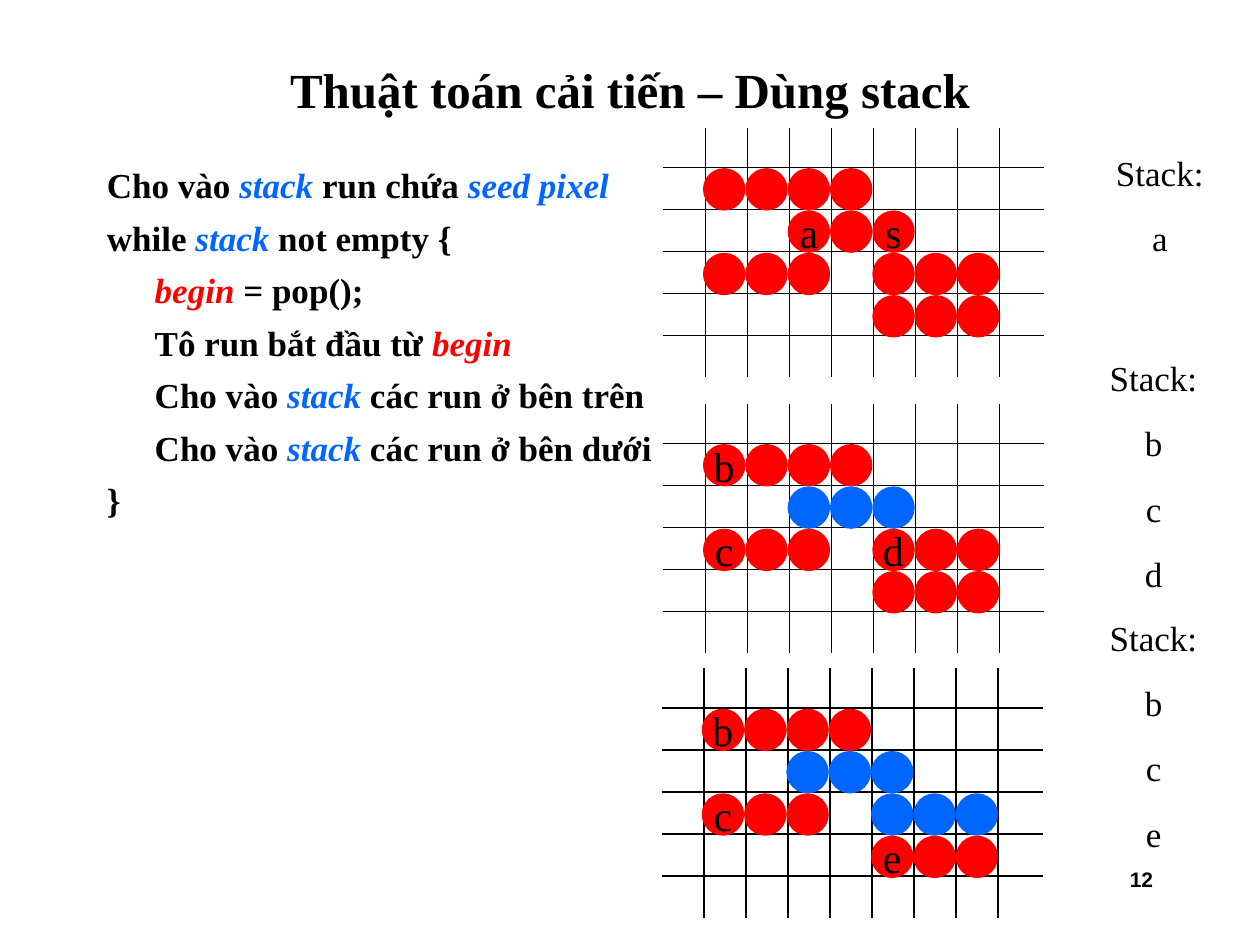
from lxml import etree
from pptx import Presentation
from pptx.dml.color import RGBColor
from pptx.enum.shapes import MSO_CONNECTOR, MSO_SHAPE
from pptx.enum.text import MSO_ANCHOR, PP_ALIGN
from pptx.oxml.ns import qn
from pptx.util import Inches, Pt

OVAL = MSO_SHAPE.OVAL
LINE = MSO_CONNECTOR.STRAIGHT
MIDDLE, TOP = MSO_ANCHOR.MIDDLE, MSO_ANCHOR.TOP
LEFT, CENTER, RIGHT = PP_ALIGN.LEFT, PP_ALIGN.CENTER, PP_ALIGN.RIGHT

BLACK, RED, BLUE = "000000", "FF0000", "0066FF"
COLS, ROWS = 100, 75  # slide grid
CELL = 10 / 3  # pixel cell, in slide columns
STEP = 3.36  # from dot to dot
DOT = 2.95
KEYS = {"stack": BLUE, "seed pixel": BLUE, "begin": RED}

CODE = [
    (0, "Cho vào |stack| run chứa |seed pixel"),
    (0, "while |stack| not empty {"),
    (1, "|begin| = pop();"),
    (1, "Tô run bắt đầu từ |begin"),
    (1, "Cho vào |stack| các run ở bên trên"),
    (1, "Cho vào |stack| các run ở bên dưới"),
    (0, "}"),
]

# Left and top of the grid, then its rows: o red, x blue, . empty,
# any other letter a red dot with that label.
BOARDS = [
    (55.9, 56.2, ["booo...", "..xxx..", "coo.xxx", "....eoo"]),
    (56, 13.3, ["oooo...", "..aos..", "ooo.ooo", "....ooo"]),
    (56, 35.2, ["booo...", "..xxx..", "coo.doo", "....ooo"]),
]

STACKS = [
    (87, 11.5, 14.5, "a"),
    (86.5, 27.8, 24.6, "bcd"),
    (86.5, 48.4, 24.6, "bce"),
]


def tint(code):
    return RGBColor.from_string(code)


def write(para, text, size=20, font="Times New Roman", color=BLACK,
          bold=False, italic=False):
    run = para.add_run()
    run.text = text
    face = run.font
    face.name, face.size = font, Pt(size)
    face.bold, face.italic = bold, italic
    face.color.rgb = tint(color)


class Page:
    """Holds the slide and places things by column and row of its grid."""

    def __init__(self, deck):
        self.wide = deck.slide_width / COLS
        self.high = deck.slide_height / ROWS
        self.slide = deck.slides.add_slide(deck.slide_layouts[6])
        self.shapes = self.slide.shapes

    def place(self, x, y):
        return round(x * self.wide), round(y * self.high)

    def frame(self, x, y, w, h, anchor=TOP):
        box = self.shapes.add_textbox(*self.place(x, y), *self.place(w, h))
        frame = box.text_frame
        frame.word_wrap = True
        frame.vertical_anchor = anchor
        return frame

    def lines(self, frame, count, align=LEFT, gap=0):
        """Yield paragraphs with the gap between them."""
        for index in range(count):
            para = frame.add_paragraph() if index else frame.paragraphs[0]
            para.alignment = align
            para.space_before = Pt(gap if index else 0)
            yield para

    def text(self, x, y, w, h, texts, align=LEFT, gap=0, anchor=TOP, **style):
        frame = self.frame(x, y, w, h, anchor)
        for para, text in zip(self.lines(frame, len(texts), align, gap), texts):
            write(para, text, **style)

    def code(self, x, y, w, h, rows):
        """Write rows where each second part split by | is a key word."""
        frame = self.frame(x, y, w, h)
        for para, (level, row) in zip(self.lines(frame, len(rows), gap=6), rows):
            props = para._p.get_or_add_pPr()
            props.set("marL", str(Inches(0.38)))
            props.set("indent", str(0 if level else -Inches(0.38)))
            for index, part in enumerate(row.split("|")):
                if part:
                    key = index % 2 == 1
                    write(para, part, bold=True, italic=key,
                          color=KEYS[part] if key else BLACK)

    def rule(self, x1, y1, x2, y2):
        line = self.shapes.add_connector(
            LINE, *self.place(x1, y1), *self.place(x2, y2))
        line.line.color.rgb = tint(BLACK)
        line.line.width = Pt(1)
        etree.SubElement(line._element.spPr, qn("a:effectLst"))

    def dot(self, x, y, color, label=""):
        dot = self.shapes.add_shape(
            OVAL, *self.place(x, y), *self.place(DOT, DOT))
        dot.shadow.inherit = False
        dot.fill.solid()
        dot.fill.fore_color.rgb = tint(color)
        dot.line.color.rgb = tint(color)
        dot.line.width = Pt(3)
        if label:
            frame = dot.text_frame
            frame.word_wrap = False
            frame.vertical_anchor = MIDDLE
            frame.paragraphs[0].alignment = CENTER
            write(frame.paragraphs[0], label, size=24)

    def board(self, x, y, rows):
        for row in range(5):
            top = y + row * CELL
            self.rule(x - 3.4, top, x + 26.85, top)
        for col in range(8):
            left = x + col * CELL
            self.rule(left, y - 3.15, left, y + 16.65)
        for row, marks in enumerate(rows):
            for col, mark in enumerate(marks):
                if mark != ".":
                    self.dot(x + col * STEP, y + 0.25 + row * STEP,
                             BLUE if mark == "x" else RED,
                             "" if mark in "ox" else mark)


def main():
    deck = Presentation()
    deck.slide_width, deck.slide_height = Inches(10), Inches(7.5)
    page = Page(deck)
    page.text(7.5, 3.3, 85, 7.5, ["Thuật toán cải tiến – Dùng stack"],
              align=CENTER, anchor=MIDDLE, size=28, bold=True)
    page.code(7.5, 12.5, 85, 54.2, CODE)
    for x, y, rows in BOARDS:
        page.board(x, y, rows)
    for x, y, h, names in STACKS:
        page.text(x, y, 10.1, h, ["Stack:", *names], align=CENTER, gap=13.4)
    page.text(71.7, 68.3, 20.8, 5, ["12"], align=RIGHT,
              size=12, font="Arial", bold=True)
    deck.save("out.pptx")


if __name__ == "__main__":
    main()
